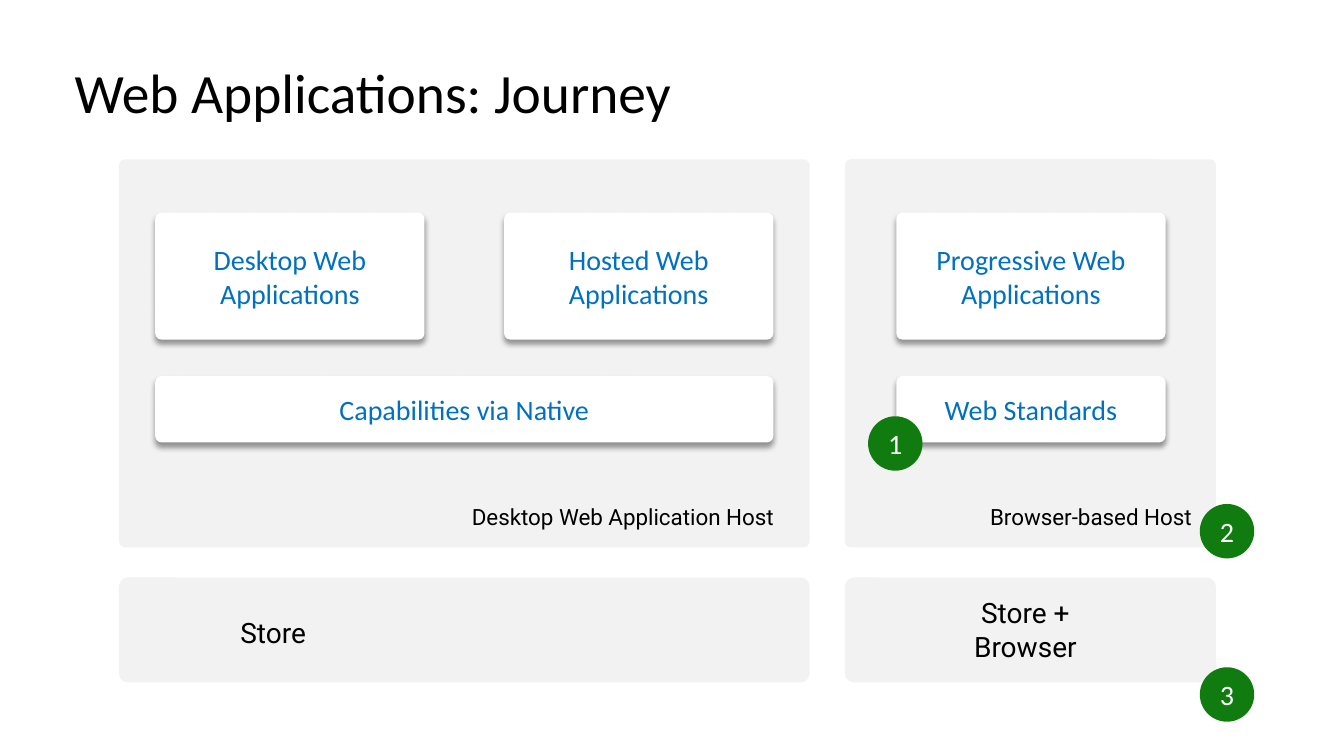
from pptx import Presentation
from pptx.dml.color import RGBColor
from pptx.enum.shapes import MSO_SHAPE
from pptx.enum.text import MSO_ANCHOR, PP_ALIGN
from pptx.oxml import parse_xml
from pptx.oxml.ns import nsdecls
from pptx.util import Inches, Pt

BLACK = RGBColor(0x00, 0x00, 0x00)
WHITE = RGBColor(0xFF, 0xFF, 0xFF)
GRAY = RGBColor(0xF2, 0xF2, 0xF2)
BLUE = RGBColor(0x00, 0x70, 0xC0)
GREEN = RGBColor(0x10, 0x7C, 0x10)

CARD_SHADOW = (
    f'<a:effectLst {nsdecls("a")}>'
    '<a:outerShdw blurRad="50800" dist="38100" dir="5400000" algn="t" rotWithShape="0">'
    '<a:srgbClr val="000000"><a:alpha val="40000"/></a:srgbClr>'
    '</a:outerShdw></a:effectLst>'
)

deck = Presentation()
deck.slide_width, deck.slide_height = Inches(13.33), Inches(7.5)
page = deck.slides.add_slide(deck.slide_layouts[5])


def add_block(kind, left, top, width, height, fill, corner=None):
    block = page.shapes.add_shape(
        kind, Inches(left), Inches(top), Inches(width), Inches(height))
    block.shadow.inherit = False
    block.fill.solid()
    block.fill.fore_color.rgb = fill
    block.line.fill.background()
    if corner is not None:
        block.adjustments[0] = corner
    return block


def write(box, lines, font, size, color, align, inset=(0, 0), anchor=MSO_ANCHOR.MIDDLE):
    frame = box.text_frame
    frame.word_wrap = True
    frame.vertical_anchor = anchor
    frame.margin_left = frame.margin_right = Inches(inset[0])
    frame.margin_top = frame.margin_bottom = Inches(inset[1])
    frame.text = "\n".join(lines)
    for para in frame.paragraphs:
        para.alignment = align
        for span in para.runs:
            span.font.name = font
            span.font.size = Pt(size)
            span.font.color.rgb = color


# Title
title = page.shapes.title
title.left, title.top = Inches(0.64), Inches(0.64)
title.width, title.height = Inches(12.05), Inches(0.61)
write(title, ["Web Applications: Journey"], "Calibri", 39.6, BLACK,
      PP_ALIGN.LEFT, (0.1, 0.05))
title.text_frame.paragraphs[0].line_spacing = 0.9

# Host panels, with the store bars below them
for left, width in [(1.18, 6.85), (8.38, 3.68)]:
    for top, height, corner in [(1.58, 3.85, 0.016), (5.73, 1.04, 0.085)]:
        add_block(MSO_SHAPE.ROUNDED_RECTANGLE, left, top, width, height, GRAY, corner)

# White cards: application types above, what they build on below
APP_ROW = (2.11, 1.26, 0.05)
BASE_ROW = (3.73, 0.66, 0.097)
cards = [
    ("Desktop Web Applications", 1.54, 2.67, APP_ROW),
    ("Hosted Web Applications", 5.0, 2.67, APP_ROW),
    ("Progressive Web Applications", 8.89, 2.67, APP_ROW),
    ("Capabilities via Native", 1.54, 6.13, BASE_ROW),
    ("Web Standards", 8.89, 2.67, BASE_ROW),
]
for label, left, width, (top, height, corner) in cards:
    card = add_block(MSO_SHAPE.ROUNDED_RECTANGLE, left, top, width, height, WHITE, corner)
    properties = card._element.spPr
    properties.replace(properties.find("{*}effectLst"), parse_xml(CARD_SHADOW))
    write(card, [label], "Calibri", 20, BLUE, PP_ALIGN.CENTER, (0.2, 0.16))

# Captions of panels and bars
captions = [
    (["Desktop Web Application Host"], 4.68, 4.99, 3.23, 0.27, 16, PP_ALIGN.LEFT),
    (["Browser-based Host"], 9.82, 4.99, 2.03, 0.27, 16, PP_ALIGN.LEFT),
    (["Store"], 2.13, 6.11, 1.16, 0.34, 20, PP_ALIGN.CENTER),
    (["Store +", "Browser"], 9.59, 5.91, 1.16, 0.67, 20, PP_ALIGN.CENTER),
]
for lines, left, top, width, height, size, align in captions:
    caption = page.shapes.add_textbox(
        Inches(left), Inches(top), Inches(width), Inches(height))
    write(caption, lines, "Roboto", size, BLACK, align, anchor=MSO_ANCHOR.TOP)

# Numbered badges
for number, (left, top) in enumerate([(8.61, 4.13), (11.9, 5.0), (11.9, 6.62)], 1):
    badge = add_block(MSO_SHAPE.OVAL, left, top, 0.54, 0.54, GREEN)
    write(badge, [str(number)], "Calibri", 20, WHITE, PP_ALIGN.CENTER)

deck.save("out.pptx")
